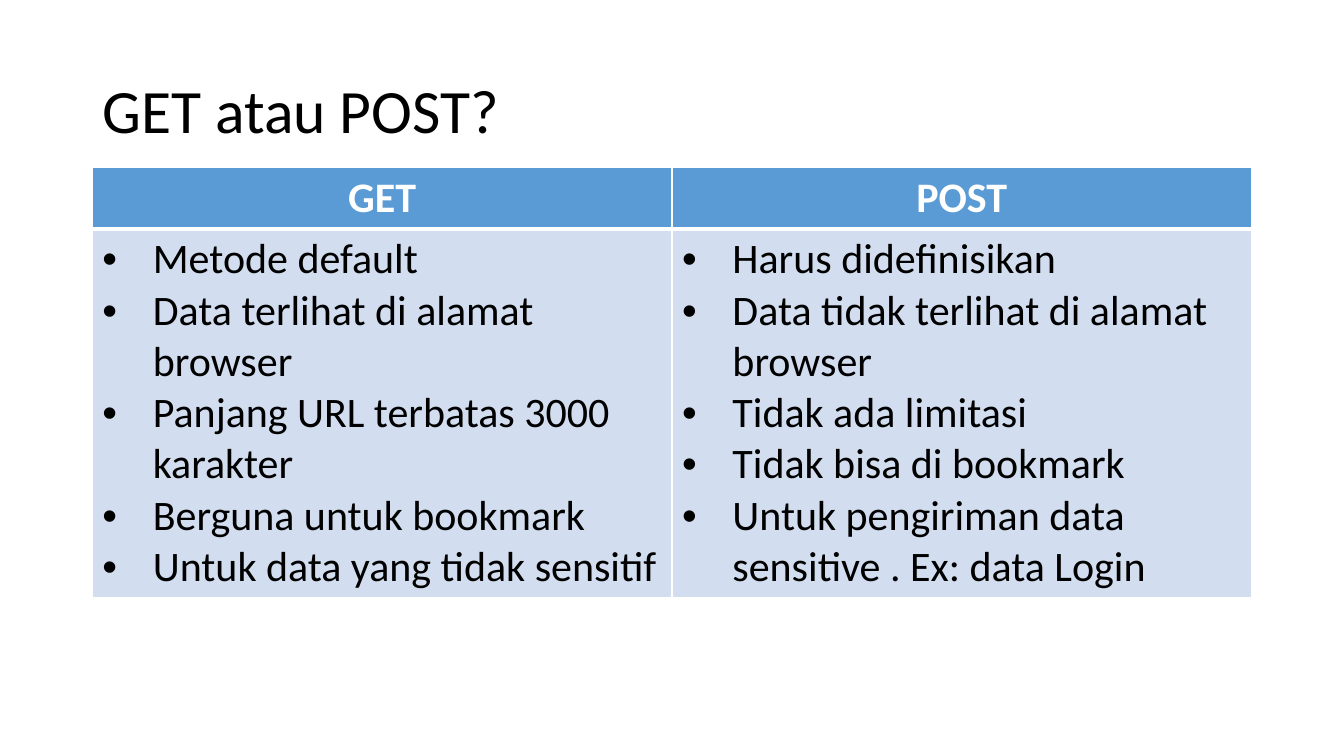
import pptx
import pptx.dml.color
import pptx.enum.text
import pptx.oxml
import pptx.oxml.ns
import pptx.util

Pt = pptx.util.Pt
PP_ALIGN = pptx.enum.text.PP_ALIGN

# Content
HEADING = "GET atau POST?"
METHODS = {
    "GET": [
        "Metode default",
        "Data terlihat di alamat browser",
        "Panjang URL terbatas 3000 karakter",
        "Berguna untuk bookmark",
        "Untuk data yang tidak sensitif",
    ],
    "POST": [
        "Harus didefinisikan",
        "Data tidak terlihat di alamat browser",
        "Tidak ada limitasi",
        "Tidak bisa di bookmark",
        "Untuk pengiriman data sensitive . Ex: data Login",
    ],
}

# Layout and style, lengths in points
LEFT, WIDTH = 66, 828
TITLE_TOP, TITLE_HEIGHT = 28.8, 104.4
TABLE_TOP, HEADER_HEIGHT, BODY_HEIGHT = 119.5, 43.8, 263.4
BULLET_INDENT = 36
BLACK, WHITE, BLUE, PALE_BLUE = "000000", "FFFFFF", "5B9BD5", "D2DEEF"
THIN, THICK = 1, 3


def rgb(color):
    return pptx.dml.color.RGBColor.from_string(color)


def add_run(paragraph, text, size, color, bold=False):
    run = paragraph.add_run()
    run.text = text
    run.font.name = "Calibri"
    run.font.size = Pt(size)
    run.font.bold = bold
    run.font.color.rgb = rgb(color)


def add_bullet(paragraph):
    properties = paragraph._p.get_or_add_pPr()
    properties.set("marL", str(Pt(BULLET_INDENT)))
    properties.set("indent", str(-Pt(BULLET_INDENT)))
    for tag, attribute, value in (("buFont", "typeface", "Arial"), ("buChar", "char", "•")):
        bullet = pptx.oxml.parse_xml(
            f'<a:{tag} {pptx.oxml.ns.nsdecls("a")} {attribute}="{value}"/>')
        properties.append(bullet)


def style_cell(cell, fill, top, bottom):
    cell.fill.solid()
    cell.fill.fore_color.rgb = rgb(fill)
    borders = (("L", THIN), ("R", THIN), ("T", top), ("B", bottom))
    for position, (side, width) in enumerate(borders):
        border = pptx.oxml.parse_xml(
            f'<a:ln{side} {pptx.oxml.ns.nsdecls("a")} w="{Pt(width)}">'
            f'<a:solidFill><a:srgbClr val="{WHITE}"/></a:solidFill></a:ln{side}>')
        cell._tc.get_or_add_tcPr().insert(position, border)


presentation = pptx.Presentation()
presentation.slide_width, presentation.slide_height = Pt(960), Pt(540)
slide = presentation.slides.add_slide(presentation.slide_layouts[5])

# Title
title = slide.shapes.title
title.left, title.top = Pt(LEFT), Pt(TITLE_TOP)
title.width, title.height = Pt(WIDTH), Pt(TITLE_HEIGHT)
title.text_frame.auto_size = pptx.enum.text.MSO_AUTO_SIZE.NONE
title.text_frame.vertical_anchor = pptx.enum.text.MSO_ANCHOR.MIDDLE
heading = title.text_frame.paragraphs[0]
heading.alignment = PP_ALIGN.LEFT
heading.line_spacing = 0.9
add_run(heading, HEADING, 44, BLACK)

# Comparison table
comparison = slide.shapes.add_table(
    2, len(METHODS), Pt(LEFT), Pt(TABLE_TOP), Pt(WIDTH),
    Pt(HEADER_HEIGHT + BODY_HEIGHT)).table
for row, height in zip(comparison.rows, (HEADER_HEIGHT, BODY_HEIGHT)):
    row.height = Pt(height)

for column, (method, traits) in enumerate(METHODS.items()):
    comparison.columns[column].width = Pt(WIDTH / len(METHODS))
    header, body = comparison.cell(0, column), comparison.cell(1, column)
    style_cell(header, BLUE, THIN, THICK)
    style_cell(body, PALE_BLUE, THICK, THIN)

    name = header.text_frame.paragraphs[0]
    name.alignment = PP_ALIGN.CENTER
    add_run(name, method, 30, WHITE, bold=True)

    for number, trait in enumerate(traits):
        frame = body.text_frame
        item = frame.add_paragraph() if number else frame.paragraphs[0]
        add_bullet(item)
        add_run(item, trait, 30, BLACK)

presentation.save("out.pptx")
